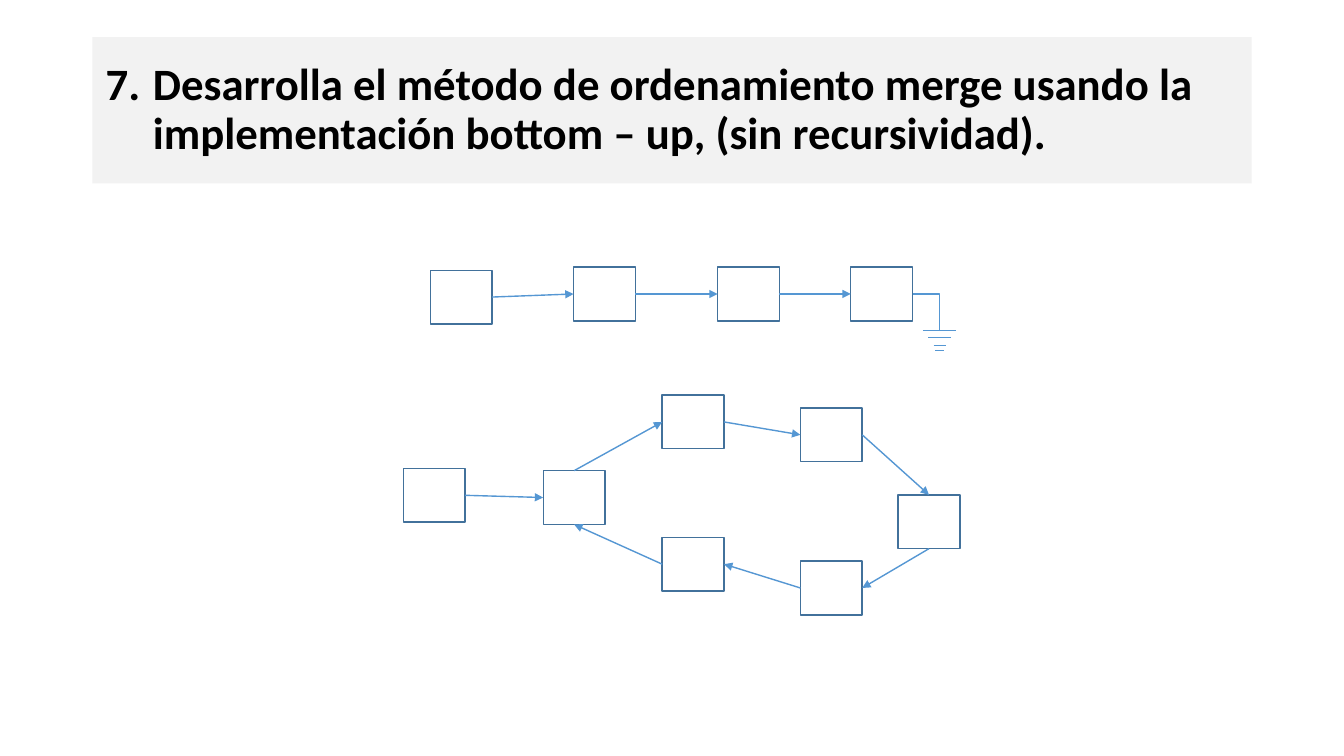
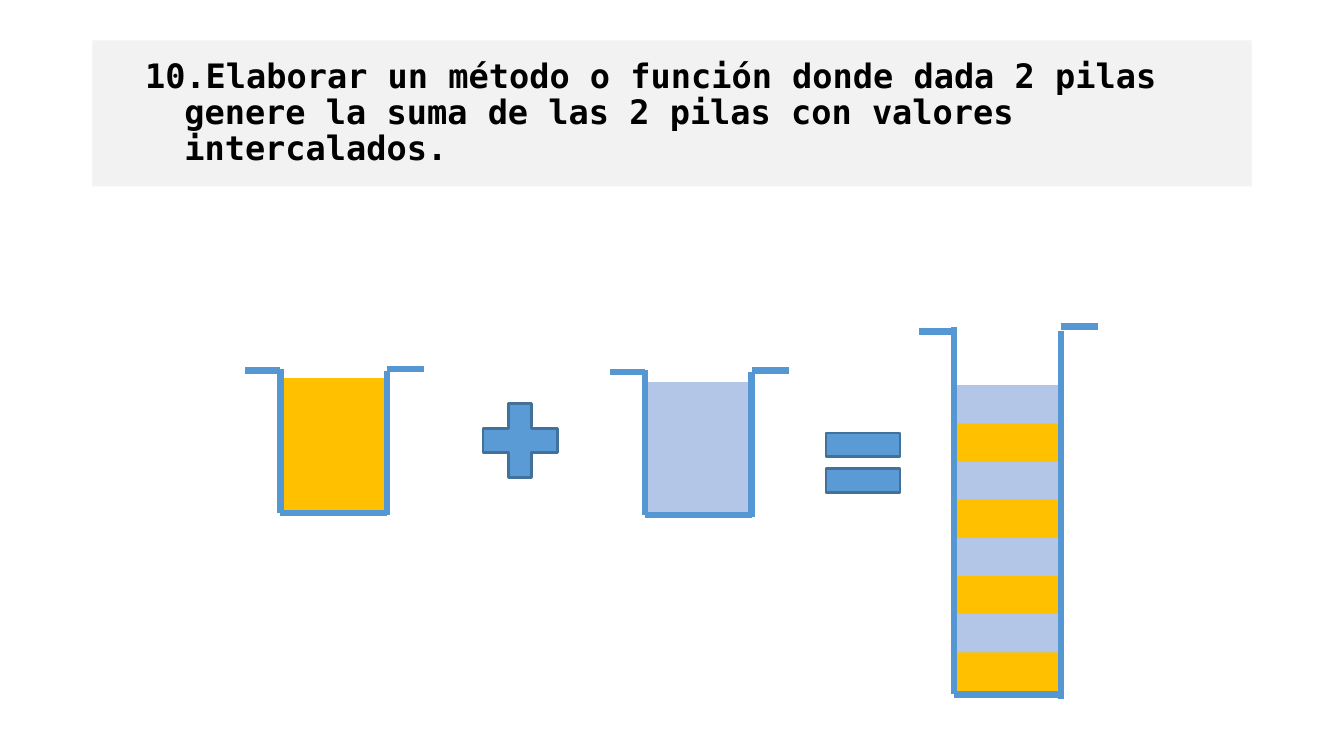
"""Build two exercise slides on linked lists and stacks."""
from dataclasses import dataclass
from typing import Optional

from lxml.etree import SubElement
from pptx import Presentation
from pptx.dml.color import RGBColor
from pptx.enum.shapes import MSO_CONNECTOR as Link, MSO_SHAPE as Form
from pptx.enum.text import MSO_ANCHOR as Anchor, MSO_AUTO_SIZE as Fit, PP_ALIGN as Align
from pptx.oxml.ns import qn
from pptx.shapes.autoshape import Shape
from pptx.shapes.connector import Connector
from pptx.slide import Slide
from pptx.util import Pt

BLACK = RGBColor(0x00, 0x00, 0x00)
WHITE = RGBColor(0xFF, 0xFF, 0xFF)
BAND = RGBColor(0xF2, 0xF2, 0xF2)
EDGE = RGBColor(0x42, 0x71, 0x9B)
LINE = RGBColor(0x55, 0x97, 0xD3)
BLUE = RGBColor(0x5B, 0x9B, 0xD5)
PALE = RGBColor(0xB3, 0xC6, 0xE7)
GOLD = RGBColor(0xFF, 0xC0, 0x00)

FRAME = dict(
    word_wrap=True, auto_size=Fit.NONE, vertical_anchor=Anchor.MIDDLE,
    margin_left=Pt(7.2), margin_right=Pt(7.2), margin_top=Pt(7.2), margin_bottom=Pt(7.2),
)
PARA = dict(alignment=Align.LEFT, line_spacing=0.9)

TOP, LEFT, BOTTOM, RIGHT = range(4)
NODE_W, NODE_H = 44.2, 38.4
FILL_W, FILL_H = 74.2, 95
LAYER_H, LAYER_STEP = 27.6, 27.26


@dataclass
class Title:
    """Numbered title with its place and type."""
    text: str
    start: int
    top: float
    font: str
    size: float
    margin: float
    indent: float


@dataclass
class Node:
    """Corner of a list node."""
    x: float
    y: float


@dataclass
class Arrow:
    """Arrow between the sides of two nodes."""
    source: int
    side: int
    target: int
    entry: int


@dataclass
class Tub:
    """Open stack outline; drop offsets its left lip and right wall."""
    left: float
    top: float
    base: float
    drop: float


@dataclass
class Block:
    """Coloured content of a stack."""
    x: float
    y: float
    height: float
    color: RGBColor


CHAIN = [Node(307.4, 193), Node(409.7, 190.8), Node(512.6, 190.8), Node(607.7, 190.8)]
CHAIN_LINKS = [Arrow(i, RIGHT, i + 1, LEFT) for i in range(3)]
RING = [
    Node(288, 334.6), Node(388, 336.2), Node(473, 282.2), Node(571.7, 291.4),
    Node(641.5, 353.5), Node(571.7, 400.8), Node(473, 383.8),
]
RING_LINKS = [
    Arrow(0, RIGHT, 1, LEFT), Arrow(1, TOP, 2, LEFT), Arrow(2, RIGHT, 3, LEFT),
    Arrow(3, RIGHT, 4, TOP), Arrow(4, BOTTOM, 5, RIGHT), Arrow(5, LEFT, 6, RIGHT),
    Arrow(6, LEFT, 1, BOTTOM),
]
GROUND = [(236.2, 12), (241.2, 8), (247, 4.3), (250.6, 3)]
GROUND_X = 671.2

TUBS = [
    Tub(200.3, 263.5, 366.5, 1.2),
    Tub(460.8, 264.6, 367.8, 1.2),
    Tub(681.7, 233.3, 496, 3.4),
]
BLOCKS = [Block(202.3, 270, FILL_H, GOLD), Block(461.2, 272.9, FILL_H, PALE)] + [
    Block(682.6, 275.2 + i * LAYER_STEP, LAYER_H, (PALE, GOLD)[i % 2]) for i in range(8)
]
SIGNS = [(Form.MATH_PLUS, 335.5, 278.6), (Form.MATH_EQUAL, 580.5, 294.5)]
TITLES = [
    Title("Desarrolla el método de ordenamiento merge usando la implementación "
          "bottom – up, (sin recursividad).", 7, 26.6, "Calibri", 32, 36, -33.75),
    Title("Elaborar un método o función donde dada 2 pilas genere la suma de las "
          "2 pilas con valores intercalados.", 10, 28.8, "DejaVu Sans Mono", 24, 58.5, -28.1),
]


def apply(target: object, values: dict) -> None:
    """Set each value on the target."""
    for name, value in values.items():
        setattr(target, name, value)


def place(shape: Shape, x: float, y: float, w: float, h: float) -> None:
    """Move and size a shape in points."""
    apply(shape, dict(left=Pt(x), top=Pt(y), width=Pt(w), height=Pt(h)))


def add_title(slide: Slide, title: Title) -> None:
    """Fill and format the title placeholder."""
    shape = slide.shapes.title
    place(shape, 66, title.top, 828, 104.4)
    shape.fill.solid()
    shape.fill.fore_color.rgb = BAND
    frame = shape.text_frame
    apply(frame, FRAME)
    para = frame.paragraphs[0]
    apply(para, PARA)
    run = para.add_run()
    run.text = title.text
    apply(run.font, dict(name=title.font, size=Pt(title.size), bold=True))
    run.font.color.rgb = BLACK
    props = para._p.get_or_add_pPr()
    props.set("marL", str(Pt(title.margin)))
    props.set("indent", str(Pt(title.indent)))
    SubElement(SubElement(props, qn("a:buClr")), qn("a:srgbClr"), val=str(BLACK))
    SubElement(props, qn("a:buFont"), typeface=title.font)
    SubElement(props, qn("a:buAutoNum"), type="arabicPeriod", startAt=str(title.start))


def add_form(slide: Slide, form: Form, x: float, y: float, w: float, h: float,
             color: RGBColor, width: Optional[float] = None) -> Shape:
    """Draw a filled shape, outlined when a width is given."""
    shape = slide.shapes.add_shape(form, Pt(x), Pt(y), Pt(w), Pt(h))
    shape.shadow.inherit = False
    shape.fill.solid()
    shape.fill.fore_color.rgb = color
    if width is None:
        shape.line.fill.background()
    else:
        shape.line.color.rgb = EDGE
        shape.line.width = Pt(width)
    return shape


def add_line(slide: Slide, x1: float, y1: float, x2: float, y2: float,
             width: float, kind: Link = Link.STRAIGHT) -> Connector:
    """Draw a plain connector."""
    line = slide.shapes.add_connector(kind, Pt(x1), Pt(y1), Pt(x2), Pt(y2))
    line.line.color.rgb = LINE
    line.line.width = Pt(width)
    SubElement(line.element.spPr, qn("a:effectLst"))
    return line


def add_list(slide: Slide, nodes: list[Node], links: list[Arrow]) -> None:
    """Draw nodes and the arrows glued to their sides."""
    boxes = [add_form(slide, Form.RECTANGLE, n.x, n.y, NODE_W, NODE_H, WHITE, 1)
             for n in nodes]
    for link in links:
        line = add_line(slide, 0, 0, 0, 0, 1)
        line.begin_connect(boxes[link.source], link.side)
        line.end_connect(boxes[link.target], link.entry)
        SubElement(line.line._get_or_add_ln(), qn("a:tailEnd"), type="triangle")


def add_ground(slide: Slide, last: Node) -> None:
    """Draw the null end of the chain."""
    bend = add_line(slide, last.x + NODE_W, last.y + NODE_H / 2,
                    GROUND_X, GROUND[0][0], 1, Link.ELBOW)
    bend.element.spPr.find(qn("a:prstGeom")).set("prst", "bentConnector2")
    for y, half in GROUND:
        add_line(slide, GROUND_X - half, y, GROUND_X + half, y, 0.75)


def add_tub(slide: Slide, tub: Tub) -> None:
    """Draw the lips, base and walls of a stack."""
    left, right, low = tub.left, tub.left + 76, tub.top + tub.drop
    for ends in (
        (left - 25, low, left, low),
        (right, tub.top, right + 26.6, tub.top),
        (left, tub.base, right, tub.base),
        (left, tub.top, left, tub.base),
        (right, low, right, tub.base + tub.drop),
    ):
        add_line(slide, *ends, 4.5)


def main() -> None:
    """Build and save the deck."""
    deck = Presentation()
    apply(deck, dict(slide_width=Pt(960), slide_height=Pt(540)))
    lists, stacks = (deck.slides.add_slide(deck.slide_layouts[5]) for _ in TITLES)
    for slide, title in zip((lists, stacks), TITLES):
        add_title(slide, title)

    add_list(lists, CHAIN, CHAIN_LINKS)
    add_ground(lists, CHAIN[-1])
    add_list(lists, RING, RING_LINKS)

    for block in BLOCKS:
        add_form(stacks, Form.RECTANGLE, block.x, block.y, FILL_W, block.height, block.color)
    for tub in TUBS:
        add_tub(stacks, tub)
    for form, x, y in SIGNS:
        add_form(stacks, form, x, y, 72, 72, BLUE, 2)
    deck.save("out.pptx")


main()
